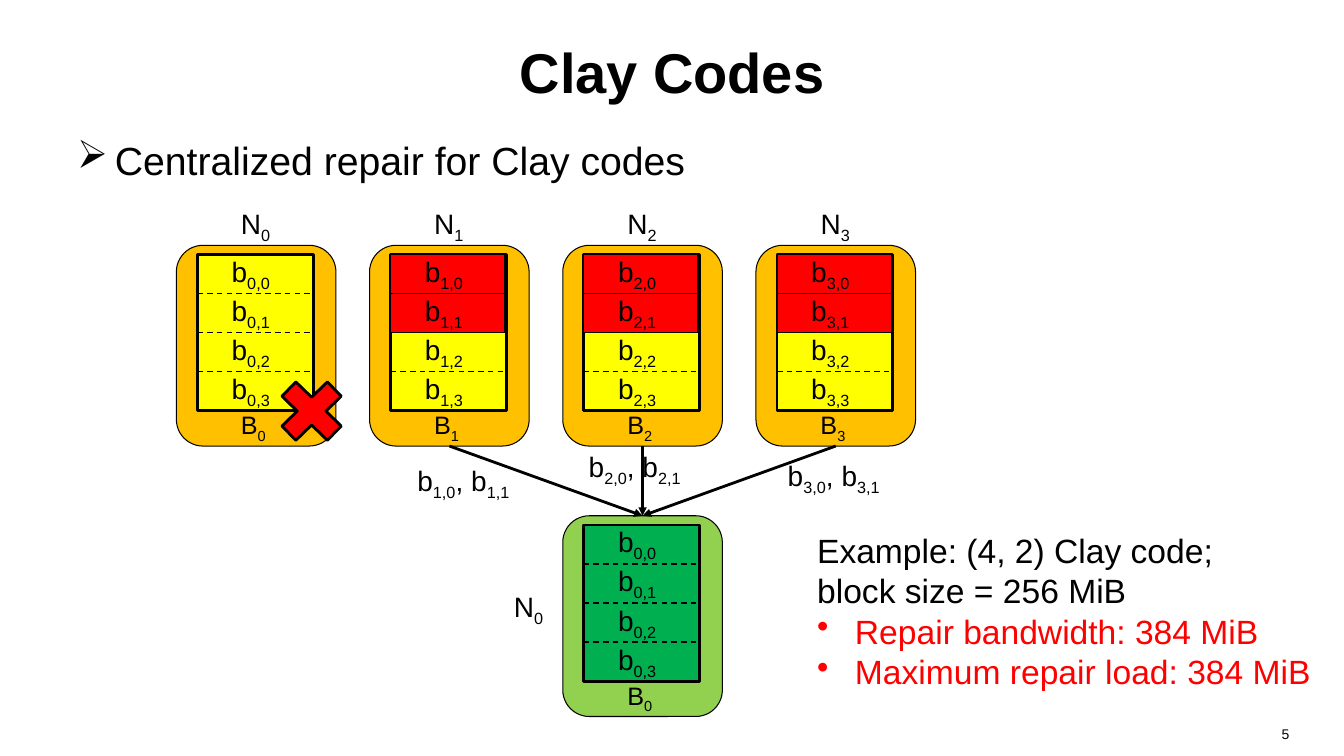
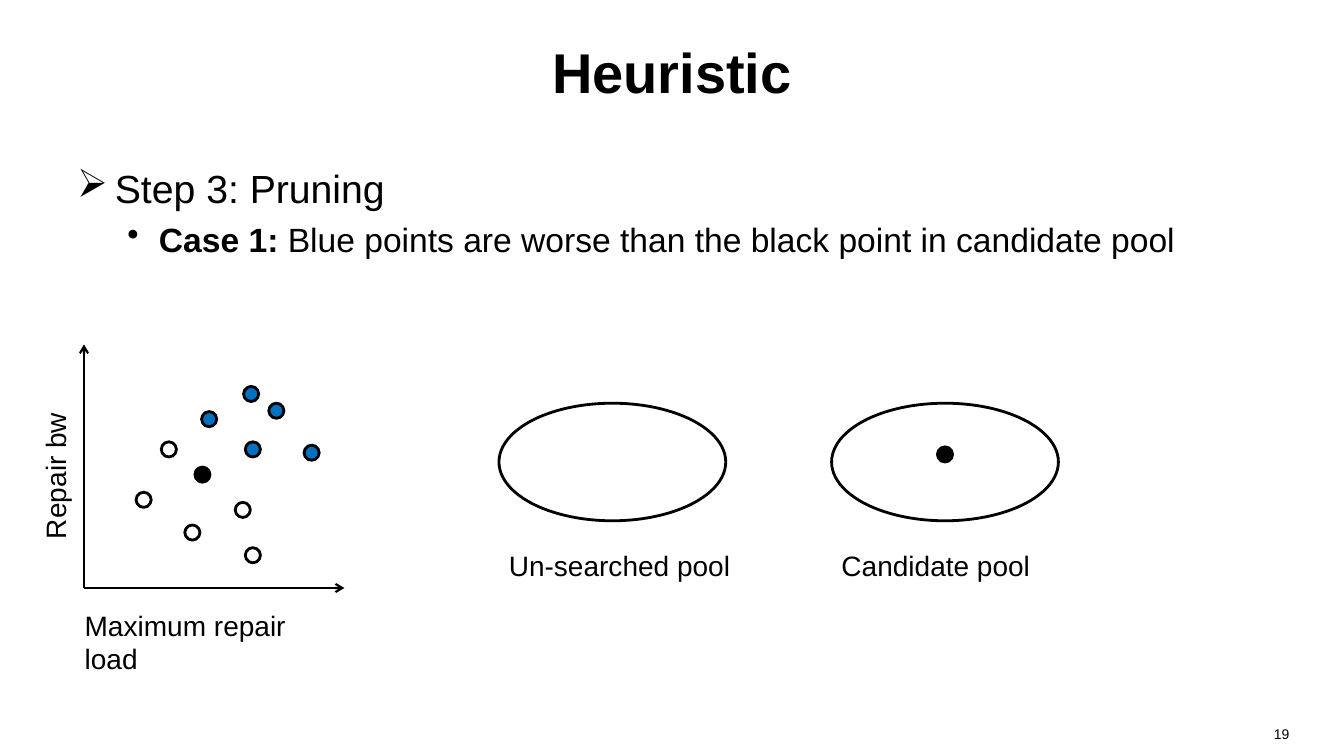
from lxml.etree import SubElement
from pptx import Presentation
from pptx.dml.color import RGBColor
from pptx.enum.dml import MSO_LINE
from pptx.enum.shapes import MSO_CONNECTOR, MSO_SHAPE as SHAPE
from pptx.enum.text import MSO_ANCHOR, PP_ALIGN as ALIGN
from pptx.oxml.ns import qn
from pptx.util import Pt

rgb = RGBColor.from_string
BLACK, WHITE, RED, BLUE = "000000", "FFFFFF", "FF0000", "0070C0"
ORANGE, YELLOW, LIME, GREEN = "FFC000", "FFFF00", "92D050", "00B050"
SUBSCRIPT, BOLD = {"baseline": "-25000"}, {"b": "1"}

deck = Presentation()
deck.slide_width, deck.slide_height = Pt(960), Pt(540)
COL, ROW = deck.slide_width // 160, deck.slide_height // 90


def draw(slide, kind, box, fill=None, width=2, dash=False, arrow=None):
    spots = [round(n * unit) for n, unit in zip(box, (COL, ROW) * 2)]
    if kind is None:
        item = slide.shapes.add_connector(MSO_CONNECTOR.STRAIGHT, *spots)
        SubElement(item._element.spPr, qn("a:effectLst"))
    else:
        item = slide.shapes.add_shape(kind, *spots)
        item.shadow.inherit = False
        item.fill.solid()
        item.fill.fore_color.rgb = rgb(fill)
    item.line.color.rgb = rgb(BLACK)
    item.line.width = Pt(width)
    if dash:
        item.line.dash_style = MSO_LINE.DASH
    if arrow:
        SubElement(item.line._get_or_add_ln(), qn("a:tailEnd"), type=arrow)


def write(slide, box, *lines, size=20, target=None, margin=0, **common):
    spots = [round(n * unit) for n, unit in zip(box, (COL, ROW) * 2)]
    holder = target or slide.shapes.add_textbox(*spots)
    holder.left, holder.top, holder.width, holder.height = spots
    frame = holder.text_frame
    frame.word_wrap = True
    frame.margin_right = margin
    for order, line in enumerate(lines):
        look = {"text": line} if isinstance(line, str) else line
        look = {"size": size, **common, **look}
        para = frame.paragraphs[0] if order == 0 else frame.add_paragraph()
        if "bullet" in look:
            props = para._p.get_or_add_pPr()
            left, hang = look["indent"]
            props.set("marL", str(Pt(left)))
            props.set("indent", str(-Pt(hang)))
            SubElement(props, qn("a:buChar"), char=look["bullet"])
        for name, value in look.get("layout", {}).items():
            setattr(para, name, value)
        for part, words in enumerate(look["text"].split("~")):
            if not words:
                continue
            run = para.add_run()
            run.text = words
            letters = {"name": "Arial", "size": Pt(look["size"]), "bold": look.get("bold", False)}
            for name, value in letters.items():
                setattr(run.font, name, value)
            run.font.color.rgb = rgb(look.get("color", BLACK))
            if part % 2:
                for name, value in look.get("marked", SUBSCRIPT).items():
                    run._r.get_or_add_rPr().set(name, value)
    return holder


topic = {"bullet": "➢", "indent": (27, 27), "size": 28}
detail = {"bullet": "•", "indent": (58.5, 22.5), "size": 24,
          "marked": BOLD, "layout": {"space_before": Pt(5)}}
finding = {"bullet": "•", "indent": (27, 27), "color": RED}

pages = [
    ("Clay Codes", "5", 15.6, [{**topic, "text": "Centralized repair for Clay codes"}]),
    ("Heuristic", "19", 19, [
        {**topic, "text": "Step 3: Pruning"},
        {**detail, "text": "~Case 1:~ Blue points are worse than the black point in candidate pool"},
    ]),
]
slides = []
for heading, number, body_top, points in pages:
    slide = deck.slides.add_slide(deck.slide_layouts[5])
    title = write(slide, (8, 1, 144, 15), heading, size=40, bold=True,
                  target=slide.shapes.title, margin=Pt(7.2), layout={"alignment": ALIGN.CENTER})
    title.text_frame.vertical_anchor = MSO_ANCHOR.MIDDLE
    write(slide, (8, body_top, 144, 20), *points)
    write(slide, (117.4, 85.8, 36.1, 4.2), number, size=10, layout={"alignment": ALIGN.RIGHT})
    slides.append(slide)
clay, heuristic = slides

NODE_LEFT, NODE_TOP, NODE_PITCH = 21, 29.2, 23
NODE_WIDTH, NODE_HEIGHT = 19, 23.9
BLOCK_WIDTH, BLOCK_HEIGHT = 13.8, 18.6
STRIPE = BLOCK_HEIGHT / 4
REPAIR_LEFT, REPAIR_TOP = NODE_LEFT + 2 * NODE_PITCH, 61.4

nodes = [(i, NODE_LEFT + i * NODE_PITCH, NODE_TOP, ORANGE, YELLOW, 2 if i else 0, (6.5, -5.2))
         for i in range(4)]
nodes.append((0, REPAIR_LEFT, REPAIR_TOP, LIME, GREEN, 0, (-7, 8.2)))

for index, left, top, node_color, block_color, sent, name_offset in nodes:
    block_left, block_top = left + 2.5, top + 1.1
    draw(clay, SHAPE.ROUNDED_RECTANGLE, (left, top, NODE_WIDTH, NODE_HEIGHT), node_color, 0.75)
    draw(clay, SHAPE.RECTANGLE, (block_left, block_top, BLOCK_WIDTH, BLOCK_HEIGHT), block_color)
    for row in range(1, 4):
        level = block_top + row * STRIPE
        draw(clay, None, (block_left, level, block_left + BLOCK_WIDTH, level), width=1, dash=True)
    for row in range(sent):
        draw(clay, SHAPE.RECTANGLE,
             (block_left, block_top + row * STRIPE, BLOCK_WIDTH - 0.2, STRIPE), RED, 0.75)
    for row in range(4):
        write(clay, (left + 5.4, block_top - 0.6 + row * STRIPE, 7.4, 5.3), f"b~{index},{row}~")
    write(clay, (left + 6.5, top + 19, 6, 4.8), f"B~{index}~", size=18)
    write(clay, (left + name_offset[0], top + name_offset[1], 6.1, 5.3), f"N~{index}~")

draw(clay, SHAPE.MATH_MULTIPLY, (31.9, 43.9, 10.4, 10.1), RED)

for index, label_left, label_top in [(1, 48.5, 54.6), (2, 68.9, 52.9), (3, 92.6, 54)]:
    sender = NODE_LEFT + index * NODE_PITCH + NODE_WIDTH / 2
    draw(clay, None, (sender, NODE_TOP + NODE_HEIGHT, REPAIR_LEFT + NODE_WIDTH / 2, REPAIR_TOP),
         arrow="triangle")
    write(clay, (label_left, label_top, 14.3, 5.3), f"b~{index},0~, b~{index},1~")

write(clay, (96.1, 62.5, 62, 20.6),
      "Example: (4, 2) Clay code;", "block size = 256 MiB",
      {**finding, "text": "Repair bandwidth: 384 MiB"},
      {**finding, "text": "Maximum repair load: 384 MiB"}, size=24)

for left, pool in [(59.4, "Un-searched pool"), (99, "Candidate pool")]:
    draw(heuristic, SHAPE.OVAL, (left, 48, 27, 14), WHITE)
    write(heuristic, (left, 64.7, 29, 5.3), pool)

for axis_end in [(41, 70), (10, 41)]:
    draw(heuristic, None, (10, 70, *axis_end), width=1.5, arrow="arrow")
write(heuristic, (8.9, 71.8, 30, 9.3), "Maximum repair load")
write(heuristic, (-2.2, 53.9, 17.6, 5.3), "Repair bw").rotation = 270

solutions = {
    BLACK: [(23.2, 55.6), (111.6, 53.2)],
    WHITE: [(22, 62.5), (16.2, 58.6), (19.2, 52.6), (28, 59.8), (29.2, 65.2)],
    BLUE: [(29.2, 52.6), (36.2, 53), (24, 49), (32, 48), (29, 46)],
}
for color, places in solutions.items():
    for place in places:
        draw(heuristic, SHAPE.OVAL, (*place, 1.8, 1.8), color)

deck.save("out.pptx")
